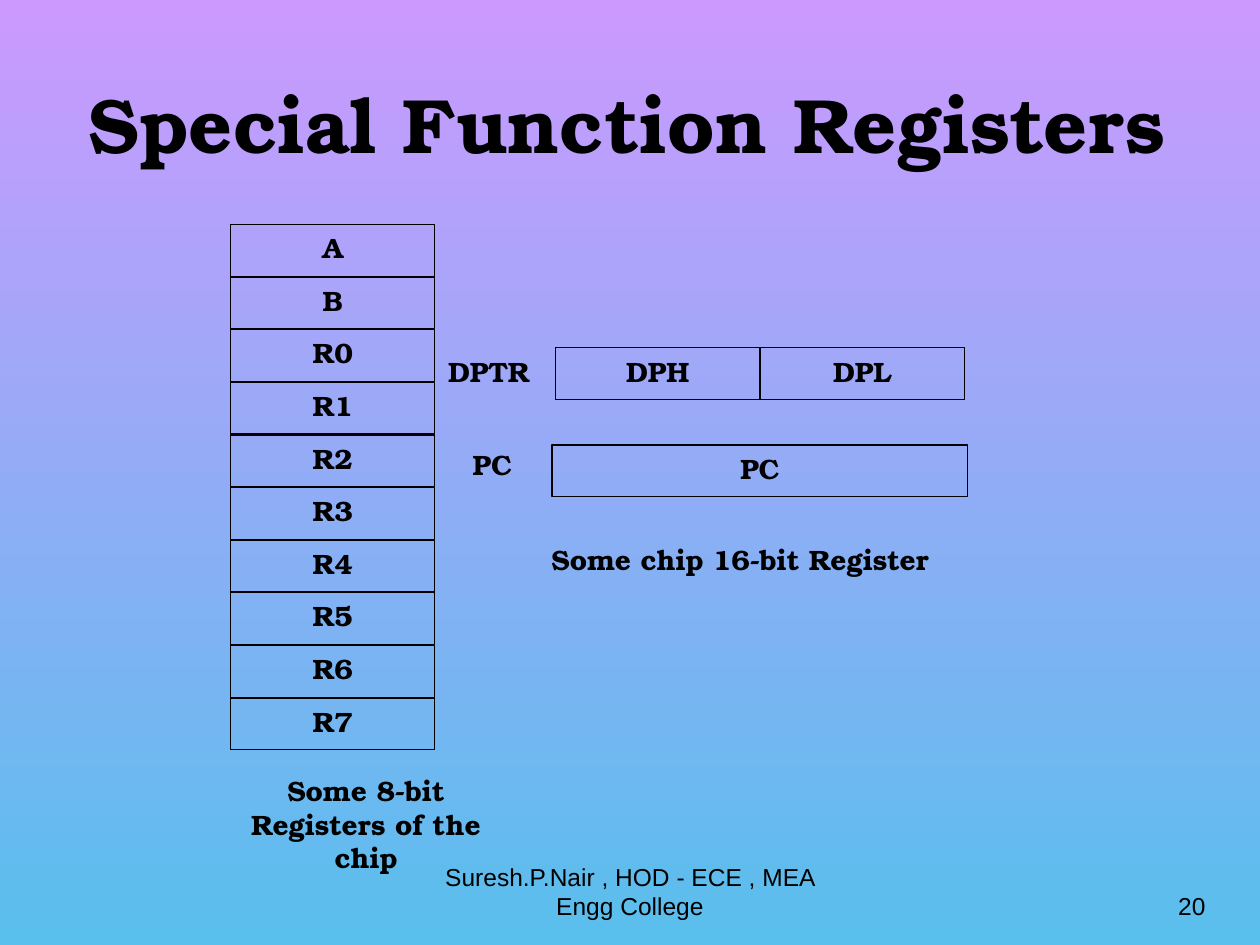
from pptx import Presentation
from pptx.dml.color import RGBColor
from pptx.enum import shapes, text
from pptx.util import Pt

BLACK = RGBColor(0x00, 0x00, 0x00)
VIOLET = RGBColor(0xCC, 0x99, 0xFF)
SKY = RGBColor(0x59, 0xBF, 0xED)
SERIF = "TeX Gyre Bonum"
SANS = "Arial"
LEFT, CENTER, RIGHT = text.PP_ALIGN.LEFT, text.PP_ALIGN.CENTER, text.PP_ALIGN.RIGHT
TOP, MIDDLE, BOTTOM = text.MSO_ANCHOR.TOP, text.MSO_ANCHOR.MIDDLE, text.MSO_ANCHOR.BOTTOM
CELL_WIDTH, CELL_HEIGHT = 116.8, 29.6


def write(shape, wording, size=16, font=SERIF, bold=True, align=CENTER, anchor=TOP):
    """Put one formatted paragraph into a shape."""
    frame = shape.text_frame
    frame.word_wrap = True
    frame.vertical_anchor = anchor
    paragraph = frame.paragraphs[0]
    paragraph.alignment = align
    run = paragraph.add_run()
    run.text = wording
    run.font.size = Pt(size)
    run.font.name = font
    run.font.bold = bold
    run.font.color.rgb = BLACK


def add_label(slide, wording, left, top, width, height, **style):
    """Add a text box with one paragraph."""
    box = slide.shapes.add_textbox(Pt(left), Pt(top), Pt(width), Pt(height))
    write(box, wording, **style)


def add_register(slide, name, left, top, width=CELL_WIDTH):
    """Add an outlined register cell."""
    cell = slide.shapes.add_shape(
        shapes.MSO_SHAPE.RECTANGLE, Pt(left), Pt(top), Pt(width), Pt(CELL_HEIGHT))
    cell.shadow.inherit = False
    cell.fill.background()
    cell.line.color.rgb = BLACK
    cell.line.width = Pt(0.75)
    write(cell, name)


def paint_background(slide):
    """Fill the slide with a gradient from top to bottom."""
    fill = slide.background.fill
    fill.gradient()
    fill.gradient_angle = 270
    for stop, color, position in zip(fill.gradient_stops, (VIOLET, SKY), (0, 1)):
        stop.color.rgb = color
        stop.position = position


def add_byte_registers(slide, left, top, height):
    """Stack the 8-bit registers above their caption."""
    names = ["A", "B"] + [f"R{number}" for number in range(8)]
    pitch = (height - CELL_HEIGHT) / (len(names) - 1)
    for row, name in enumerate(names):
        add_register(slide, name, left, top + row * pitch)
    add_label(slide, "Some 8-bit Registers of the chip",
              left - 10, top + height + 10, 175, 75)


def add_word_registers(slide, left, top):
    """Place the 16-bit registers with their labels and caption."""
    add_label(slide, "DPTR", left, top, 65.5, 30, align=LEFT)
    for column, name in enumerate(("DPH", "DPL")):
        add_register(slide, name, left + 68.5 + column * CELL_WIDTH, top)
    add_label(slide, "PC", left + 14, top + 53.5, 65.5, 30, align=LEFT)
    add_register(slide, "PC", left + 66.5, top + 55.5, width=237.5)
    add_label(slide, "Some chip 16-bit Register",
              left + 59, top + 107.5, 247, 43, align=LEFT)


def add_footer(slide, top, height):
    """Place the author line and the slide number."""
    style = dict(size=14, font=SANS, bold=False, anchor=BOTTOM)
    add_label(slide, "Suresh.P.Nair , HOD - ECE , MEA Engg College",
              246, top, 228, height, **style)
    add_label(slide, "20", 516, top, 180, height, align=RIGHT, **style)


def main():
    """Build and save the slide."""
    presentation = Presentation()
    presentation.slide_width, presentation.slide_height = Pt(720), Pt(540)
    slide = presentation.slides.add_slide(presentation.slide_layouts[6])
    paint_background(slide)
    add_byte_registers(slide, left=131.7, top=128.3, height=300.2)
    add_word_registers(slide, left=249, top=198.8)
    add_label(slide, "Special Function Registers", 23.5, 18, 670, 104.5,
              size=44, anchor=MIDDLE)
    add_footer(slide, top=492, height=37.5)
    presentation.save("out.pptx")


if __name__ == "__main__":
    main()
